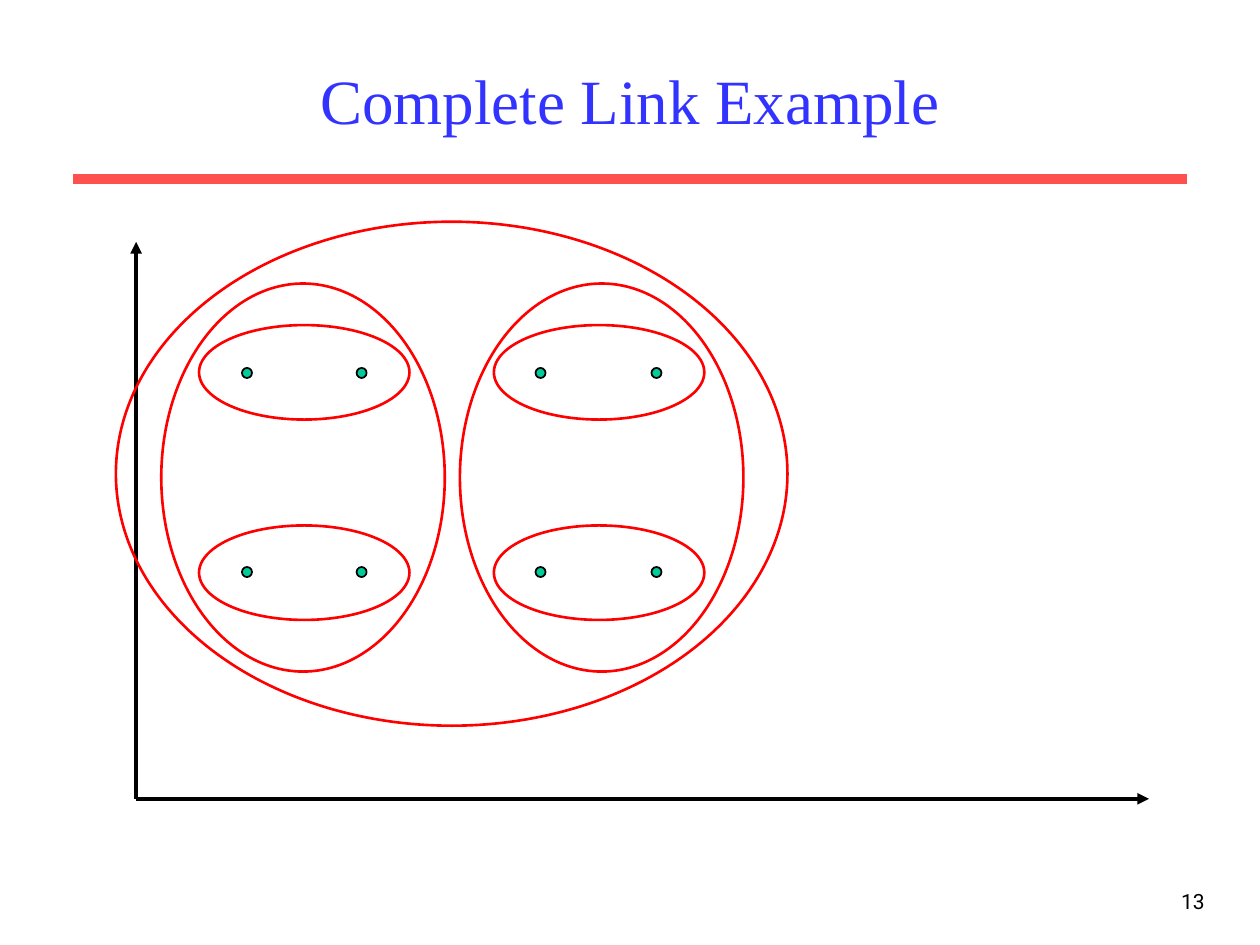
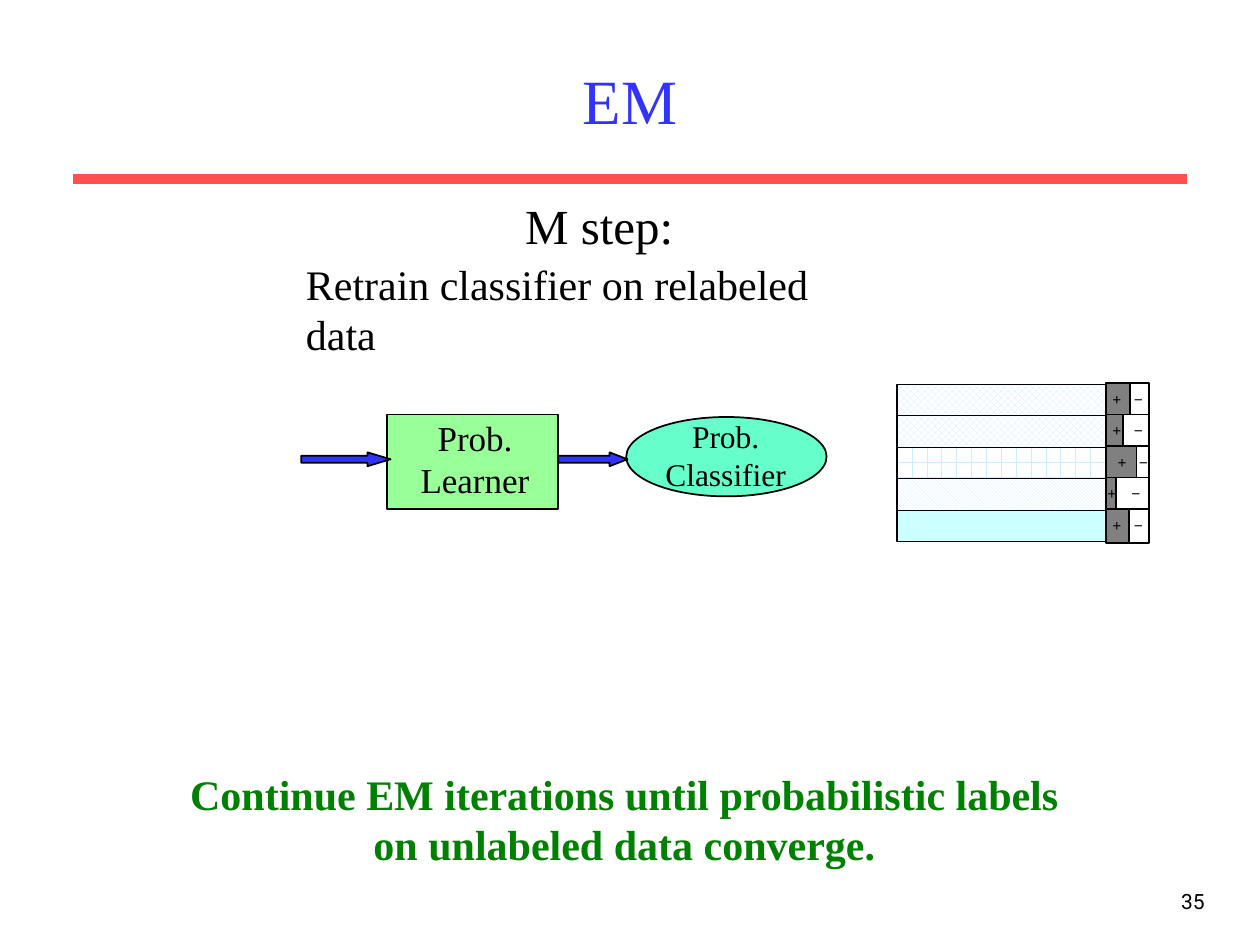
from dataclasses import dataclass
from itertools import product
from typing import Optional

from lxml.etree import SubElement
from pptx import Presentation
from pptx.dml.color import RGBColor
from pptx.enum.dml import MSO_PATTERN as Pattern
from pptx.enum.shapes import MSO_CONNECTOR, MSO_SHAPE as Preset
from pptx.enum.text import MSO_ANCHOR as Anchor, PP_ALIGN as Align
from pptx.oxml.ns import qn
from pptx.shapes.autoshape import Shape
from pptx.slide import Slide
from pptx.util import Emu, Pt

PX = 9144  # EMU per px, 100 px to the inch
SERIF, SANS = "Times New Roman", "Roboto"
BLACK, WHITE, GREY = "000000", "FFFFFF", "808080"
TITLE_BLUE, RULE_RED = "3333FF", "FF5050"
POINT_GREEN, CLUSTER_RED = "00CC99", "FF0000"
LEARNER_GREEN, CLASSIFIER_AQUA, NOTE_GREEN = "99FF99", "66FFCC", "008000"
PALE_BLUE, PALE_CYAN = "CCECFF", "CCFFFF"


@dataclass(frozen=True)
class Box:
    left: int
    top: int
    width: int
    height: int

    def emu(self) -> tuple:
        return tuple(px(n) for n in (self.left, self.top, self.width, self.height))


@dataclass(frozen=True)
class TextStyle:
    size: int
    color: str = BLACK
    font: str = SERIF
    bold: bool = False
    align: Align = Align.CENTER
    anchor: Anchor = Anchor.TOP
    wrap: bool = True


@dataclass(frozen=True)
class Example:
    """One data row; split is where its plus share ends, no pattern means a plain row."""
    pattern: Optional[Pattern]
    split: int
    plus_left: int
    minus_left: int


TITLE = TextStyle(36, TITLE_BLUE, anchor=Anchor.MIDDLE)
PAGE_NUMBER = TextStyle(12, font=SANS, align=Align.RIGHT)
SIGN = TextStyle(9, bold=True, wrap=False)

EXAMPLES = [
    Example(Pattern.LARGE_CHECKER_BOARD, 897, 873, 890),
    Example(Pattern.OUTLINED_DIAMOND, 891, 873, 890),
    Example(Pattern.HORIZONTAL_BRICK, 902, 877, 894),
    Example(Pattern.DARK_DOWNWARD_DIAGONAL, 886, 869, 888),
    Example(None, 896, 873, 890),
]


def px(length: int) -> Emu:
    return Emu(length * PX)


def rgb(color: str) -> RGBColor:
    return RGBColor.from_string(color)


def add_preset(slide: Slide, preset: Preset, box: Box, fill: Optional[str],
               line: str = BLACK, weight: float = 1) -> Shape:
    shape = slide.shapes.add_shape(preset, *box.emu())
    shape.shadow.inherit = False
    if fill is None:
        shape.fill.background()
    else:
        shape.fill.solid()
        shape.fill.fore_color.rgb = rgb(fill)
    shape.line.color.rgb = rgb(line)
    shape.line.width = Pt(weight)
    return shape


def add_text(slide: Slide, box: Box, text: str, style: TextStyle) -> None:
    frame = slide.shapes.add_textbox(*box.emu()).text_frame
    frame.text = text
    frame.word_wrap = style.wrap
    frame.vertical_anchor = style.anchor
    for paragraph in frame.paragraphs:
        paragraph.alignment = style.align
        for run in paragraph.runs:
            run.font.name = style.font
            run.font.size = Pt(style.size)
            run.font.bold = style.bold
            run.font.color.rgb = rgb(style.color)


def add_line(slide: Slide, start: tuple, end: tuple, color: str,
             weight: float, arrow: bool = False) -> None:
    connector = slide.shapes.add_connector(
        MSO_CONNECTOR.STRAIGHT, *(px(n) for n in start + end))
    connector.line.color.rgb = rgb(color)
    connector.line.width = Pt(weight)
    properties = connector.element.spPr
    if arrow:
        SubElement(properties.find(qn("a:ln")), qn("a:tailEnd"), type="triangle")
    SubElement(properties, qn("a:effectLst"))


def add_block_arrow(slide: Slide, box: Box, head: float) -> None:
    arrow = add_preset(slide, Preset.RIGHT_ARROW, box, TITLE_BLUE)
    arrow.adjustments[1] = head


def add_base_slide(presentation: Presentation, title: str, number: int) -> Slide:
    """Add a blank slide with the shared rule, page number and title."""
    slide = presentation.slides.add_slide(presentation.slide_layouts[6])
    add_line(slide, (58, 142), (942, 142), RULE_RED, 6)
    add_text(slide, Box(758, 700, 208, 50), str(number), PAGE_NUMBER)
    add_text(slide, Box(75, 25, 850, 108), title, TITLE)
    return slide


def add_example(slide: Slide, top: int, example: Example) -> None:
    """Draw a data row followed by its plus and minus shares."""
    bar = add_preset(slide, Preset.RECTANGLE, Box(712, top, 167, 25),
                     PALE_CYAN, weight=0.75)
    if example.pattern is not None:
        bar.fill.patterned()
        bar.fill.pattern = example.pattern
        bar.fill.fore_color.rgb = rgb(PALE_BLUE)
        bar.fill.back_color.rgb = rgb(WHITE)
    add_preset(slide, Preset.RECTANGLE, Box(879, top, 33, 25), WHITE, weight=0.75)
    shares = [
        ("+", 878, example.split, GREY, example.plus_left),
        ("−", example.split, 912, WHITE, example.minus_left),
    ]
    for sign, left, right, fill, sign_left in shares:
        add_preset(slide, Preset.RECTANGLE,
                   Box(left, top - 1, right - left, 27), fill)
        add_text(slide, Box(sign_left, top - 1, 27, 25), sign, SIGN)


def build_complete_link(presentation: Presentation) -> None:
    slide = add_base_slide(presentation, "Complete Link Example", 13)
    origin = (108, 634)
    for axis_end in ((108, 192), (912, 634)):
        add_line(slide, origin, axis_end, BLACK, 2.25, arrow=True)
    for left, top in product((192, 283, 425, 517), (292, 450)):
        add_preset(slide, Preset.OVAL, Box(left, top, 8, 8), POINT_GREEN)

    pairs = [Box(left, top, 167, 75) for left, top in product((158, 392), (258, 417))]
    halves = [Box(left, 225, 225, 308) for left in (128, 365)]
    for cluster in pairs + halves + [Box(92, 176, 533, 400)]:
        add_preset(slide, Preset.OVAL, cluster, None, CLUSTER_RED, 1.5)


def build_em(presentation: Presentation) -> None:
    slide = add_base_slide(presentation, "EM", 35)
    add_preset(slide, Preset.RECTANGLE, Box(307, 329, 136, 75), LEARNER_GREEN)
    add_text(slide, Box(323, 326, 108, 77), "Prob. Learner", TextStyle(20))
    for row, example in enumerate(EXAMPLES):
        add_example(slide, 305 + 25 * row, example)

    add_block_arrow(slide, Box(239, 359, 71, 11), 1.67)
    add_preset(slide, Preset.OVAL, Box(497, 331, 159, 63), CLASSIFIER_AQUA)
    add_text(slide, Box(518, 326, 116, 70), "Prob.\nClassifier",
             TextStyle(18, wrap=False))
    add_block_arrow(slide, Box(443, 359, 55, 11), 1.29)

    add_text(slide, Box(134, 605, 723, 90),
             "Continue EM iterations until probabilistic labels on unlabeled data converge.",
             TextStyle(24, NOTE_GREEN, bold=True))
    add_text(slide, Box(233, 200, 480, 50), "Retrain classifier on relabeled data",
             TextStyle(24, align=Align.LEFT))
    add_text(slide, Box(400, 150, 151, 57), "M step:", TextStyle(28, wrap=False))


def main() -> None:
    presentation = Presentation()
    presentation.slide_width, presentation.slide_height = px(1000), px(750)
    build_complete_link(presentation)
    build_em(presentation)
    presentation.save("out.pptx")


if __name__ == "__main__":
    main()
